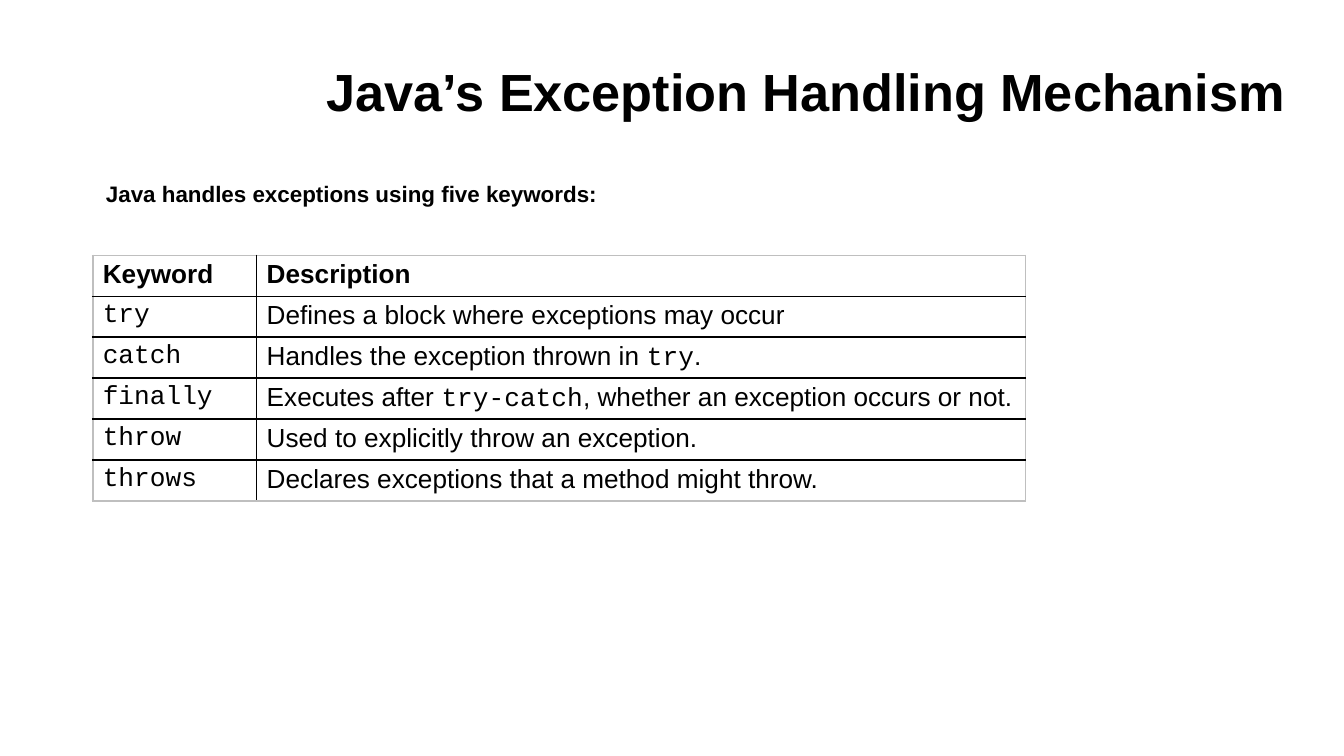
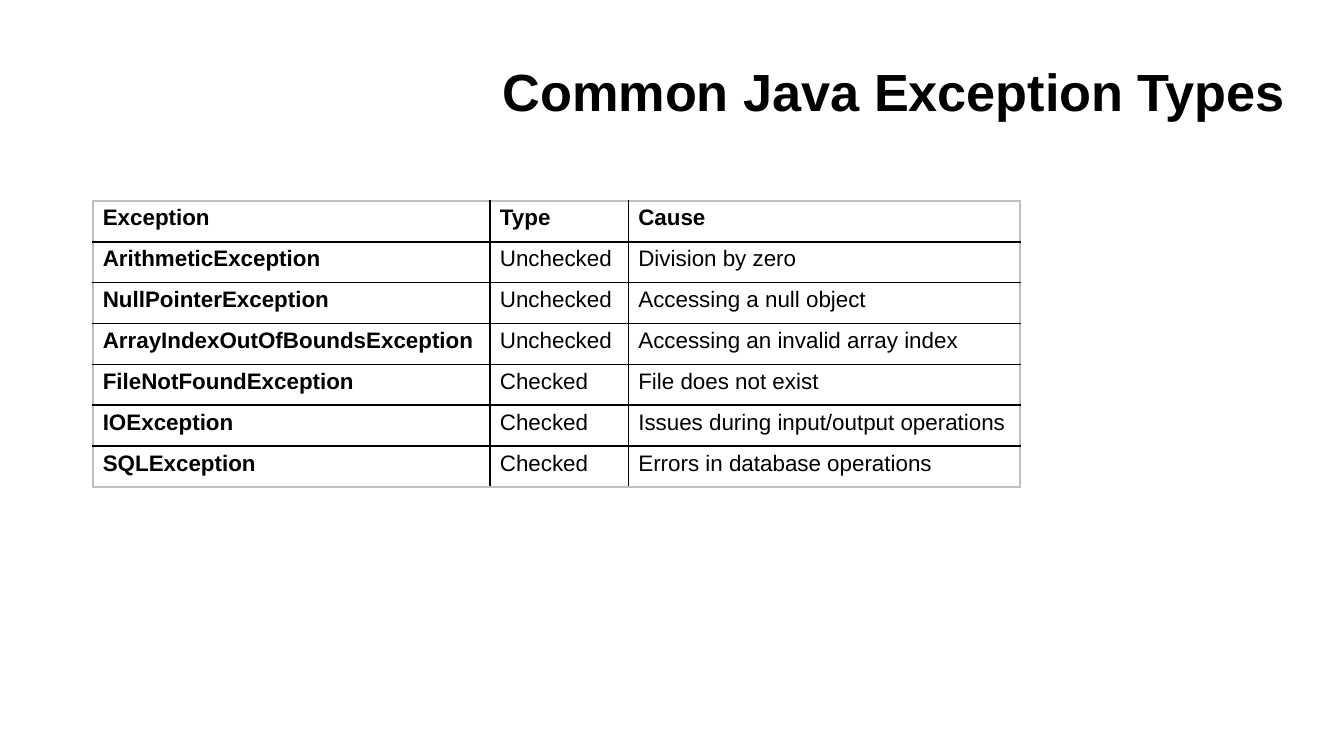
"""Build two slides on Java exceptions, each with a ruled table."""
from lxml import etree
from pptx import Presentation
from pptx.dml.color import RGBColor
from pptx.enum.text import MSO_ANCHOR, MSO_AUTO_SIZE, PP_ALIGN
from pptx.oxml.ns import qn
from pptx.util import Pt

PX = 4572
BLACK = RGBColor(0x00, 0x00, 0x00)
GREY = RGBColor(0xBF, 0xBF, 0xBF)
SANS, MONO = "Arial", "Courier New"
LEFT = 138

SLIDES = [
    dict(title="Java’s Exception Handling Mechanism",
         intro="Java handles exceptions using five keywords:",
         top=380, height=366, size=14, cols=[244, 1144], bold_cols=0,
         rows=[("Keyword", "Description"),
               ("`try`", "Defines a block where exceptions may occur"),
               ("`catch`", "Handles the exception thrown in `try`."),
               ("`finally`", "Executes after `try-catch`, whether an exception occurs or not."),
               ("`throw`", "Used to explicitly throw an exception."),
               ("`throws`", "Declares exceptions that a method might throw.")]),
    dict(title="Common Java Exception Types", intro=None,
         top=299, height=426, size=12, cols=[591, 206, 583], bold_cols=1,
         rows=[("Exception", "Type", "Cause"),
               ("ArithmeticException", "Unchecked", "Division by zero"),
               ("NullPointerException", "Unchecked", "Accessing a null object"),
               ("ArrayIndexOutOfBoundsException", "Unchecked", "Accessing an invalid array index"),
               ("FileNotFoundException", "Checked", "File does not exist"),
               ("IOException", "Checked", "Issues during input/output operations"),
               ("SQLException", "Checked", "Errors in database operations")]),
]


def write(p, text, size, bold):
    """Fill a paragraph, setting parts between backticks in the code font."""
    for i, part in enumerate(text.split("`")):
        if part:
            r = p.add_run()
            r.text = part
            r.font.name = MONO if i % 2 else SANS
            r.font.size = Pt(size)
            r.font.bold = bold
            r.font.color.rgb = BLACK


def rule_cell(cell, outer):
    """Draw the left, right, top and bottom rules, grey on the table's edge."""
    tcPr = cell._tc.get_or_add_tcPr()
    for i, (tag, is_outer) in enumerate(zip(("lnL", "lnR", "lnT", "lnB"), outer)):
        ln = etree.Element(qn("a:" + tag), w=str(Pt(1)))
        fill = etree.SubElement(ln, qn("a:solidFill"))
        etree.SubElement(fill, qn("a:srgbClr"), val=str(GREY if is_outer else BLACK))
        tcPr.insert(i, ln)


prs = Presentation()
prs.slide_width, prs.slide_height = 2000 * PX, 1125 * PX

for data in SLIDES:
    s = prs.slides.add_slide(prs.slide_layouts[5])

    sp = s.shapes.title
    sp.left, sp.top, sp.width, sp.height = 68 * PX, 64 * PX, 1864 * PX, 157 * PX
    tf = sp.text_frame
    tf.margin_left = tf.margin_right = tf.margin_top = 20 * PX
    tf.margin_bottom = 35 * PX
    tf.vertical_anchor = MSO_ANCHOR.MIDDLE
    tf.auto_size = MSO_AUTO_SIZE.NONE
    p = tf.paragraphs[0]
    p.alignment = PP_ALIGN.RIGHT
    write(p, data["title"], 28, True)

    rows, cols = data["rows"], data["cols"]
    table = s.shapes.add_table(len(rows), len(cols), LEFT * PX, data["top"] * PX,
                               sum(cols) * PX, data["height"] * PX).table
    table.first_row = table.horz_banding = False
    for column, width in zip(table.columns, cols):
        column.width = width * PX
    for i, row in enumerate(rows):
        for j, text in enumerate(row):
            cell = table.cell(i, j)
            cell.margin_left = cell.margin_right = 15 * PX
            cell.margin_top = cell.margin_bottom = 7 * PX
            cell.fill.background()
            rule_cell(cell, (j == 0, j == len(cols) - 1, i == 0, i == len(rows) - 1))
            write(cell.text_frame.paragraphs[0], text, data["size"],
                  i == 0 or j < data["bold_cols"])

    if data["intro"]:
        sp = s.shapes.add_textbox(LEFT * PX, 258 * PX, 1000 * PX, 60 * PX)
        tf = sp.text_frame
        tf.word_wrap = True
        tf.auto_size = MSO_AUTO_SIZE.SHAPE_TO_FIT_TEXT
        write(tf.paragraphs[0], data["intro"], 12, True)

prs.save("out.pptx")
